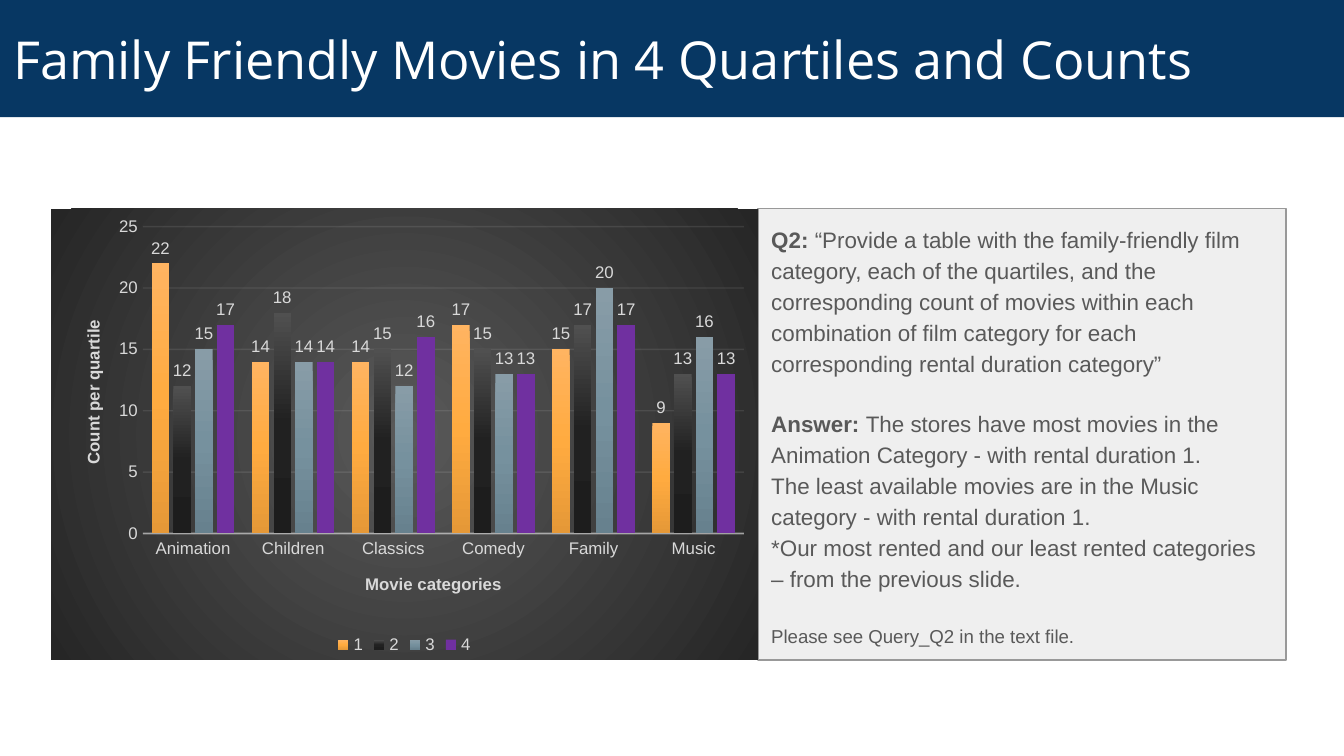
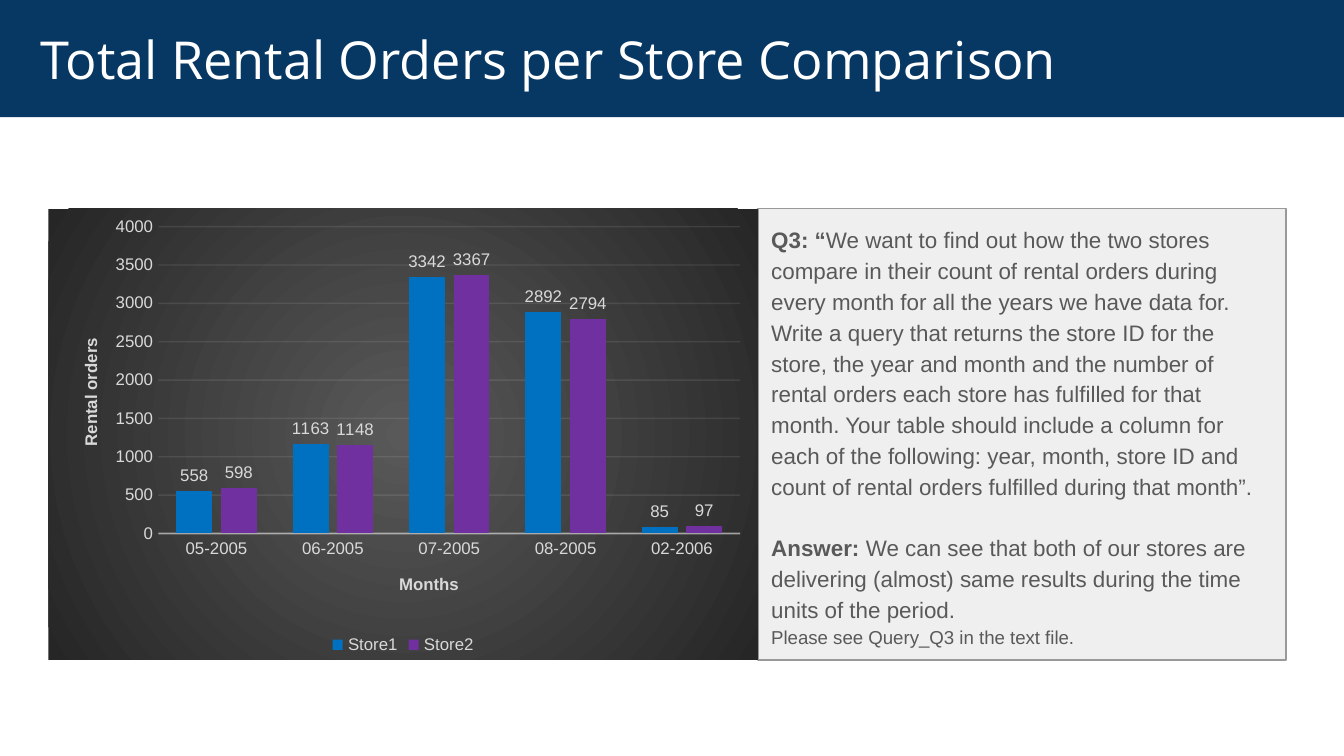
from lxml import etree
from pptx import Presentation
from pptx.chart.data import CategoryChartData
from pptx.dml.color import RGBColor
from pptx.enum.chart import XL_CHART_TYPE as ChartType
from pptx.enum.chart import XL_LABEL_POSITION as LabelPosition
from pptx.enum.chart import XL_LEGEND_POSITION as LegendPosition
from pptx.enum.chart import XL_TICK_MARK as TickMark
from pptx.enum.shapes import MSO_SHAPE as Shape
from pptx.enum.text import MSO_ANCHOR as Anchor
from pptx.enum.text import PP_ALIGN as Align
from pptx.oxml import parse_xml
from pptx.oxml.ns import nsdecls, qn
from pptx.util import Inches, Pt

NAVY = RGBColor(0x07, 0x37, 0x63)
WHITE = RGBColor(0xFF, 0xFF, 0xFF)
PANEL = RGBColor(0xEF, 0xEF, 0xEF)
BORDER = RGBColor(0x99, 0x99, 0x99)
GREY = RGBColor(0x59, 0x59, 0x59)
CHARCOAL = RGBColor(0x26, 0x26, 0x26)
CHART_TEXT = RGBColor(0xD9, 0xD9, 0xD9)
RULE = RGBColor(0xF2, 0xF2, 0xF2)
PURPLE = RGBColor(0x70, 0x30, 0xA0)
BLUE = RGBColor(0x00, 0x70, 0xC0)
ORANGE_SHADES = (RGBColor(0xFF, 0xB4, 0x61), RGBColor(0xFF, 0xAB, 0x40), RGBColor(0xE5, 0x98, 0x37))
BLACK_SHADES = (RGBColor(0x50, 0x50, 0x50), RGBColor(0x21, 0x21, 0x21), RGBColor(0x1D, 0x1D, 0x1D))
SLATE_SHADES = (RGBColor(0x88, 0x9C, 0xA7), RGBColor(0x76, 0x91, 0x9E), RGBColor(0x67, 0x81, 0x8E))

BODY_FONT = "Arial"
TITLE_FONT = "Open Sans"
BAND_HEIGHT = 0.155
CONTENT_TOP, CONTENT_HEIGHT = 0.276, 0.597
PANEL_LEFT, PANEL_WIDTH = 0.564, 0.393


def format_font(font, size, color, name=BODY_FONT, bold=False):
    """Apply one text style to a font."""
    font.size, font.name, font.bold = Pt(size), name, bold
    font.color.rgb = color


def write(paragraph, text, size=12, color=GREY, name=BODY_FONT, bold=False):
    """Add a formatted run to a paragraph."""
    run = paragraph.add_run()
    run.text = text
    format_font(run.font, size, color, name, bold)


def gradient(colors, direction):
    """Return a gradient fill with evenly spaced colours."""
    step = 100000 // (len(colors) - 1)
    stops = "".join(
        f'<a:gs pos="{index * step}"><a:srgbClr val="{color}"/></a:gs>'
        for index, color in enumerate(colors)
    )
    return parse_xml(f'<a:gradFill {nsdecls("a")}><a:gsLst>{stops}</a:gsLst>{direction}</a:gradFill>')


def place(element, index, **shares):
    """Give a chart part a manual layout in shares of the chart."""
    for old in element.findall(qn("c:layout")):
        element.remove(old)
    layout = etree.Element(qn("c:layout"))
    manual = etree.SubElement(layout, qn("c:manualLayout"))
    if "w" in shares:
        etree.SubElement(manual, qn("c:layoutTarget")).set("val", "inner")
    for key in ("x", "y"):
        etree.SubElement(manual, qn(f"c:{key}Mode")).set("val", "edge")
    for key, value in shares.items():
        etree.SubElement(manual, qn(f"c:{key}")).set("val", str(value))
    element.insert(index, layout)


class Deck:
    """Hold the shared style and the current slide."""

    def __init__(self):
        """Start an empty wide presentation."""
        self.presentation = Presentation()
        self.presentation.slide_width = Inches(10)
        self.presentation.slide_height = Inches(5.625)
        self.slide = None

    def new_slide(self):
        """Add a blank slide and make it current."""
        self.slide = self.presentation.slides.add_slide(self.presentation.slide_layouts[6])

    def box(self, left, top, width, height):
        """Turn shares of the slide into lengths."""
        across, down = self.presentation.slide_width, self.presentation.slide_height
        return int(left * across), int(top * down), int(width * across), int(height * down)

    def rectangle(self, area, fill, border=None, anchor=Anchor.TOP):
        """Add a plain rectangle and return its text frame."""
        shape = self.slide.shapes.add_shape(Shape.RECTANGLE, *self.box(*area))
        shape.shadow.inherit = False
        shape.fill.solid()
        shape.fill.fore_color.rgb = fill
        if border is None:
            shape.line.fill.background()
        else:
            shape.line.color.rgb = border
            shape.line.width = Pt(0.75)
        frame = shape.text_frame
        frame.word_wrap = True
        frame.vertical_anchor = anchor
        frame.margin_left = frame.margin_right = Inches(0.1)
        frame.margin_top = frame.margin_bottom = Inches(0.1)
        frame.paragraphs[0].alignment = Align.LEFT
        return frame

    def title_band(self, text, indent=0.1):
        """Add the title band across the top."""
        frame = self.rectangle((0, 0, 1, BAND_HEIGHT), NAVY, anchor=Anchor.MIDDLE)
        frame.margin_left = Inches(indent)
        write(frame.paragraphs[0], text, size=28, color=WHITE, name=TITLE_FONT)

    def text_panel(self, entries):
        """Add the text panel from (lead, text, size, space after) entries."""
        frame = self.rectangle((PANEL_LEFT, CONTENT_TOP, PANEL_WIDTH, CONTENT_HEIGHT), PANEL, BORDER)
        for index, (lead, text, size, gap) in enumerate(entries):
            paragraph = frame.add_paragraph() if index else frame.paragraphs[0]
            paragraph.alignment = Align.LEFT
            paragraph.line_spacing = 1.15
            paragraph.space_after = Pt(gap)
            if lead:
                write(paragraph, lead, size=size, bold=True)
            write(paragraph, text, size=size)

    def column_chart(self, left, categories, series, titles, title_places, plot_left, maximum, unit):
        """Add a dark clustered column chart ending at the text panel."""
        data = CategoryChartData()
        data.categories = categories
        for name, values, _ in series:
            data.add_series(name, values)
        area = self.box(left, CONTENT_TOP, PANEL_LEFT - left, CONTENT_HEIGHT)
        chart = self.slide.shapes.add_chart(ChartType.COLUMN_CLUSTERED, *area, data).chart
        chart.has_title = False
        format_font(chart.font, 9, CHART_TEXT)
        chart.has_legend = True
        chart.legend.position = LegendPosition.BOTTOM
        chart.legend.include_in_layout = False
        format_font(chart.legend.font, 9, CHART_TEXT)
        self.style_columns(chart, [fill for _, _, fill in series])
        self.style_axes(chart, titles, title_places, maximum, unit)
        root = chart.element
        place(root.xpath("c:chart/c:plotArea")[0], 0, x=plot_left, y=0.04, w=round(0.98 - plot_left, 2), h=0.68)
        background = parse_xml(f'<c:spPr {nsdecls("c", "a")}/>')
        center = '<a:path path="circle"><a:fillToRect l="50000" t="50000" r="50000" b="50000"/></a:path>'
        background.append(gradient((GREY, CHARCOAL), center))
        etree.SubElement(etree.SubElement(background, qn("a:ln")), qn("a:noFill"))
        root.xpath("c:chart")[0].addnext(background)

    def style_columns(self, chart, fills):
        """Set the columns' gaps, labels and fills."""
        plot = chart.plots[0]
        plot.gap_width, plot.overlap = 100, -24
        plot.vary_by_categories = False
        plot.has_data_labels = True
        labels = plot.data_labels
        labels.show_value = True
        labels.position = LabelPosition.OUTSIDE_END
        format_font(labels.font, 9, CHART_TEXT)
        for number, (column, fill) in enumerate(zip(plot.series, fills), start=1):
            column.invert_if_negative = False
            if isinstance(fill, RGBColor):
                column.format.fill.solid()
                column.format.fill.fore_color.rgb = fill
            else:
                column.format.fill.background()
                properties = chart.element.xpath(f".//c:ser[{number}]/c:spPr")[0]
                properties.replace(properties[0], gradient(fill, '<a:lin ang="5400000" scaled="0"/>'))

    def style_axes(self, chart, titles, title_places, maximum, unit):
        """Set the axes' titles, lines and scale."""
        category, value = chart.category_axis, chart.value_axis
        for axis, tag, title, (x, y) in zip((category, value), ("catAx", "valAx"), titles, title_places):
            axis.major_tick_mark = axis.minor_tick_mark = TickMark.NONE
            format_font(axis.tick_labels.font, 9, CHART_TEXT)
            write(axis.axis_title.text_frame.paragraphs[0], title, size=9, color=CHART_TEXT, bold=True)
            place(chart.element.xpath(f".//c:{tag}/c:title")[0], 1, x=x, y=y)
        value.minimum_scale, value.maximum_scale, value.major_unit = 0, maximum, unit
        value.format.line.fill.background()
        lines = (
            (category.format.line, "c:catAx/c:spPr", 1, 54),
            (value.major_gridlines.format.line, "c:valAx/c:majorGridlines", 0.75, 10),
        )
        for line, location, width, opacity in lines:
            line.color.rgb = RULE
            line.width = Pt(width)
            color = chart.element.xpath(f".//{location}//a:srgbClr")[0]
            etree.SubElement(color, qn("a:alpha")).set("val", str(opacity * 1000))


deck = Deck()

deck.new_slide()
deck.text_panel([
    ("Q2: ", "“Provide a table with the family-friendly film category, each of the quartiles, and the "
     "corresponding count of movies within each combination of film category for each "
     "corresponding rental duration category”", 12, 16),
    ("Answer: ", "The stores have most movies in the Animation Category - with rental duration 1.", 12, 0),
    ("", "The least available movies are in the Music category - with rental duration 1.", 12, 0),
    ("", "*Our most rented and our least rented categories – from the previous slide.", 12, 16),
    ("", "Please see Query_Q2 in the text file.", 10, 0),
])
deck.title_band("Family Friendly Movies in 4 Quartiles and Counts")
deck.column_chart(
    left=0.038,
    categories=["Animation", "Children", "Classics", "Comedy", "Family", "Music"],
    series=[
        ("1", (22, 14, 14, 17, 15, 9), ORANGE_SHADES),
        ("2", (12, 18, 15, 15, 17, 13), BLACK_SHADES),
        ("3", (15, 14, 12, 13, 20, 16), SLATE_SHADES),
        ("4", (17, 14, 16, 13, 17, 13), PURPLE),
    ],
    titles=("Movie categories", "Count per quartile"),
    title_places=((0.44, 0.8), (0.04, 0.24)),
    plot_left=0.13, maximum=25, unit=5,
)

deck.new_slide()
deck.text_panel([
    ("Q3: “", "We want to find out how the two stores compare in their count of rental orders during "
     "every month for all the years we have data for. Write a query that returns the store ID for "
     "the store, the year and month and the number of rental orders each store has fulfilled for "
     "that month. Your table should include a column for each of the following: year, month, "
     "store ID and count of rental orders fulfilled during that month”.", 12, 16),
    ("Answer: ", "We can see that both of our stores are delivering (almost) same results during "
     "the time units of the period.", 12, 0),
    ("", "Please see Query_Q3 in the text file.", 10, 0),
])
deck.title_band("Total Rental Orders per Store Comparison", indent=0.3)
deck.column_chart(
    left=0.036,
    categories=["05-2005", "06-2005", "07-2005", "08-2005", "02-2006"],
    series=[
        ("Store1", (558, 1163, 3342, 2892, 85), BLUE),
        ("Store2", (598, 1148, 3367, 2794, 97), PURPLE),
    ],
    titles=("Months", "Rental orders"),
    title_places=((0.49, 0.8), (0.04, 0.28)),
    plot_left=0.155, maximum=4000, unit=500,
)

deck.presentation.save("out.pptx")
